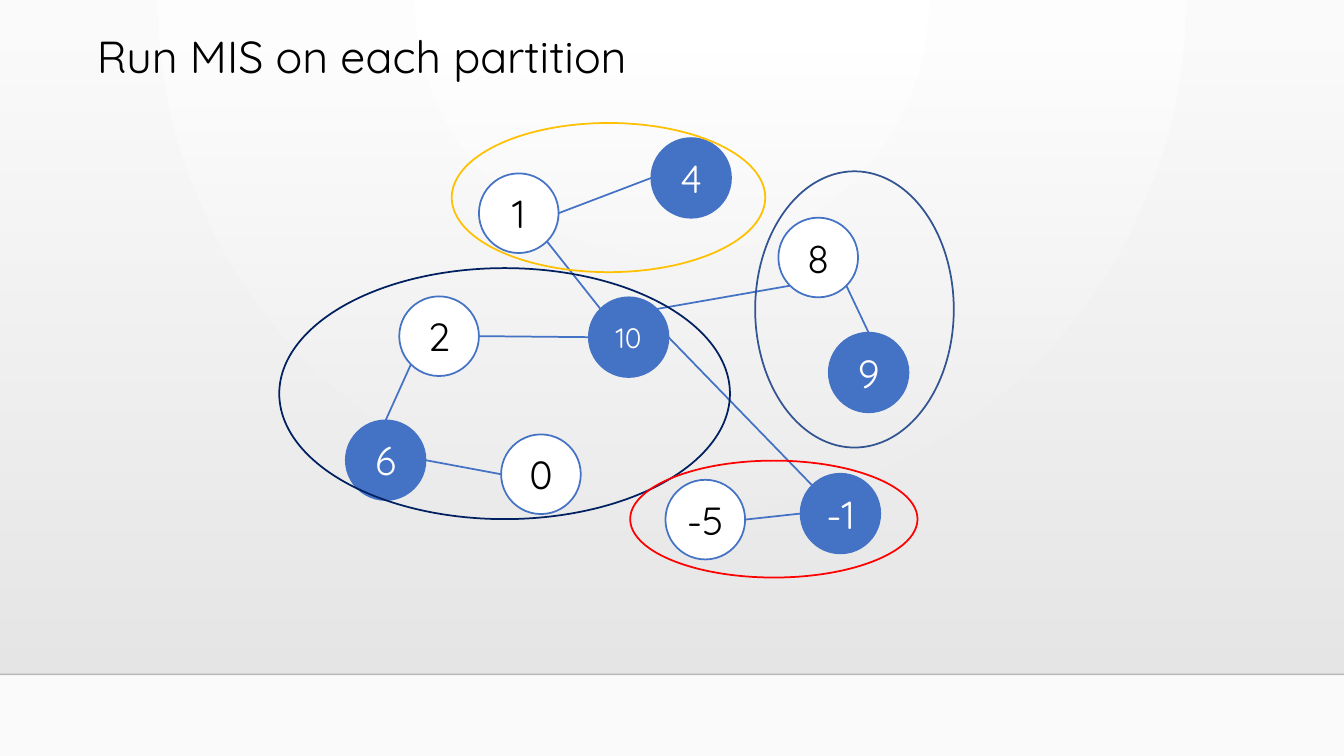
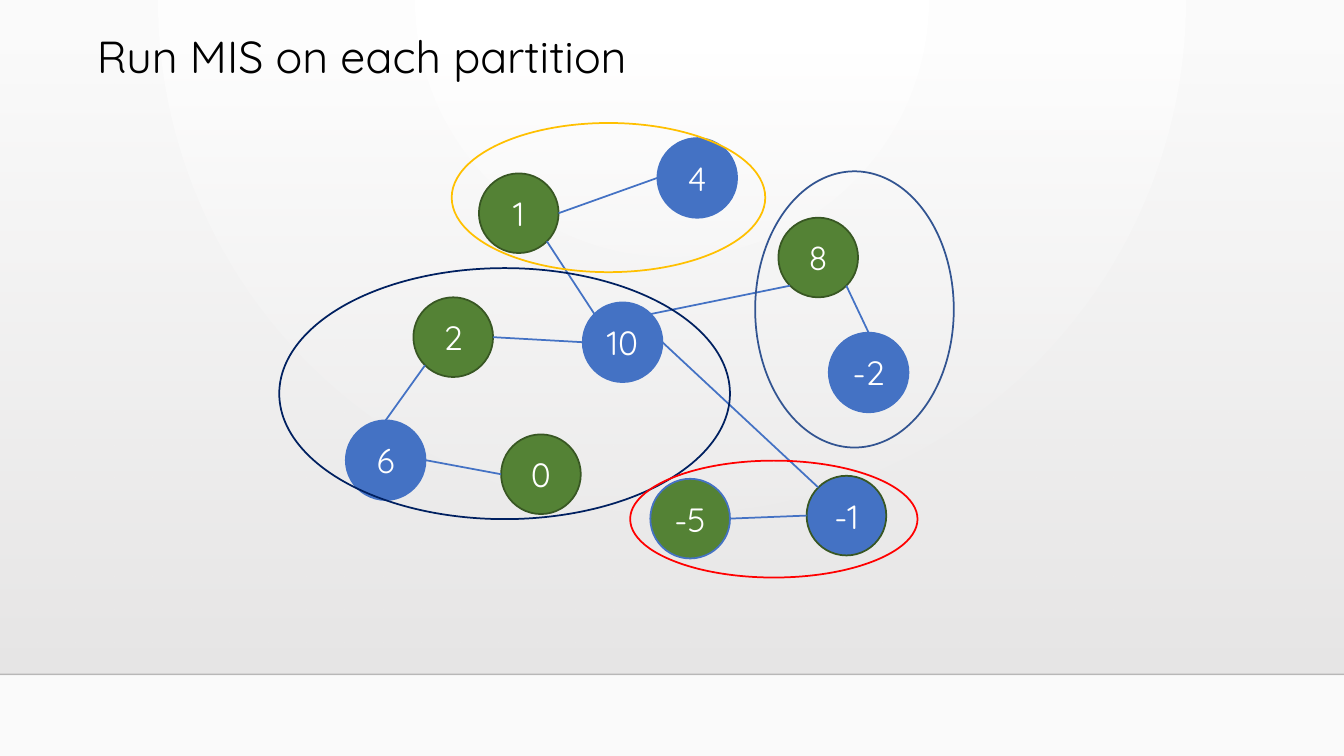
from dataclasses import dataclass
from math import cos, radians, sin

from lxml import etree
from pptx import Presentation
from pptx.dml.color import RGBColor
from pptx.enum.shapes import MSO_CONNECTOR, MSO_SHAPE
from pptx.enum.text import MSO_ANCHOR, MSO_AUTO_SIZE, PP_ALIGN
from pptx.oxml.ns import qn
from pptx.util import Inches, Pt

OVAL, RECTANGLE = MSO_SHAPE.OVAL, MSO_SHAPE.RECTANGLE
STRAIGHT = MSO_CONNECTOR.STRAIGHT
LEFT, CENTER = PP_ALIGN.LEFT, PP_ALIGN.CENTER
TOP, MIDDLE = MSO_ANCHOR.TOP, MSO_ANCHOR.MIDDLE
NO_AUTOFIT = MSO_AUTO_SIZE.NONE

WHITE = RGBColor(0xFF, 0xFF, 0xFF)
BLACK = RGBColor(0x00, 0x00, 0x00)
RULE_BLACK = RGBColor(0x00, 0x00, 0x01)
PAPER = RGBColor(0xFA, 0xFA, 0xFA)
BAND_TOP = RGBColor(0xE7, 0xE6, 0xE6)
BAND_BOTTOM = RGBColor(0xE8, 0xE7, 0xE7)
BLUE = RGBColor(0x44, 0x72, 0xC4)
GREEN = RGBColor(0x54, 0x82, 0x35)
DARK_GREEN = RGBColor(0x38, 0x57, 0x23)
GOLD = RGBColor(0xFF, 0xC0, 0x00)
NAVY = RGBColor(0x00, 0x20, 0x60)
RED = RGBColor(0xFF, 0x00, 0x00)
STEEL = RGBColor(0x32, 0x54, 0x91)

FONT = "Quicksand"
TITLE = "Run MIS on each partition"
SLIDE_WIDTH, SLIDE_HEIGHT = 13.33, 7.5
BAND_Y, RULE_Y = 0.51, 6.69
DIAMETER = 0.79
LINE_WIDTH = 1.25

# Points on a node's rim, in degrees clockwise from the right
EAST, SOUTHEAST, SOUTHWEST, WEST = 0, 45, 135, 180
NORTHWEST, NORTH, NORTHEAST = 225, 270, 315


@dataclass(frozen=True)
class Node:
    label: str
    left: float
    top: float
    fill: RGBColor
    outline: RGBColor = BLUE
    ink: RGBColor = WHITE
    size: int = 24

    def rim(self, angle: int) -> tuple[float, float]:
        radius = DIAMETER / 2
        return (self.left + radius * (1 + cos(radians(angle))),
                self.top + radius * (1 + sin(radians(angle))))


@dataclass(frozen=True)
class Edge:
    source: str
    source_angle: int
    target: str
    target_angle: int


@dataclass(frozen=True)
class Partition:
    left: float
    top: float
    width: float
    height: float
    outline: RGBColor


def chosen(label: str, left: float, top: float, size: int = 28) -> Node:
    return Node(label, left, top, BLUE, size=size)


def unchosen(label: str, left: float, top: float) -> Node:
    return Node(label, left, top, WHITE, ink=BLACK, size=28)


def removed(label: str, left: float, top: float, outline: RGBColor = DARK_GREEN) -> Node:
    return Node(label, left, top, GREEN, outline)


# Content
PARTITIONS = [
    Partition(4.48, 1.22, 3.11, 1.48, GOLD),
    Partition(2.77, 2.66, 4.47, 2.49, NAVY),
    Partition(6.25, 4.57, 2.85, 1.16, RED),
    Partition(7.49, 1.7, 1.97, 2.74, STEEL),
]
SHARED_EDGES = [
    Edge("1", SOUTHEAST, "10", NORTHWEST),
    Edge("2", EAST, "10", WEST),
    Edge("6", NORTH, "2", SOUTHWEST),
    Edge("6", EAST, "0", WEST),
    Edge("1", EAST, "4", WEST),
    Edge("10", EAST, "-1", NORTHWEST),
    Edge("8", SOUTHWEST, "10", NORTHEAST),
    Edge("-5", EAST, "-1", WEST),
]
FIRST_RUN = [
    unchosen("2", 3.96, 2.94), unchosen("1", 4.75, 1.72),
    chosen("10", 5.84, 2.95, size=20), unchosen("0", 4.97, 4.31),
    chosen("9", 8.22, 3.3), unchosen("8", 7.72, 2.16),
    chosen("-1", 7.94, 4.7), chosen("4", 6.46, 1.37),
    chosen("6", 3.43, 4.17), unchosen("-5", 6.6, 4.76),
]
SECOND_RUN = [
    removed("2", 4.1, 2.95), removed("1", 4.75, 1.72),
    chosen("10", 5.78, 3, size=24), removed("0", 4.97, 4.31),
    chosen("-2", 8.22, 3.3, size=24), removed("8", 7.72, 2.16),
    Node("-1", 8, 4.72, BLUE, DARK_GREEN), chosen("4", 6.52, 1.37, size=24),
    chosen("6", 3.43, 4.17, size=24), removed("-5", 6.45, 4.75, outline=BLUE),
]


# Drawing helpers
def write(frame, text: str, *, size: int, color: RGBColor, align=CENTER,
          anchor=MIDDLE, spacing: float = 1.0, inset: tuple[float, float] = (0.07, 0.04)) -> None:
    frame.auto_size = NO_AUTOFIT
    frame.word_wrap = True
    frame.vertical_anchor = anchor
    frame.margin_left = frame.margin_right = Inches(inset[0])
    frame.margin_top = frame.margin_bottom = Inches(inset[1])
    paragraph = frame.paragraphs[0]
    paragraph.alignment = align
    paragraph.line_spacing = spacing
    run = paragraph.add_run()
    run.text = text
    run.font.name, run.font.size = FONT, Pt(size)
    run.font.color.rgb = color


def add_oval(slide, left: float, top: float, width: float, height: float,
             outline: RGBColor, fill: RGBColor | None = None):
    oval = slide.shapes.add_shape(OVAL, Inches(left), Inches(top), Inches(width), Inches(height))
    oval.shadow.inherit = False
    if fill is None:
        oval.fill.background()
    else:
        oval.fill.solid()
        oval.fill.fore_color.rgb = fill
    oval.line.color.rgb = outline
    oval.line.width = Pt(LINE_WIDTH)
    return oval


def add_line(slide, start: tuple[float, float], end: tuple[float, float],
             color: RGBColor, width: float):
    line = slide.shapes.add_connector(STRAIGHT, *map(Inches, start + end))
    line.line.color.rgb = color
    line.line.width = Pt(width)
    etree.SubElement(line.element.spPr, qn("a:effectLst"))
    return line


def set_gradient(fill, first: RGBColor, last: RGBColor) -> None:
    fill.gradient()
    for stop, color in zip(fill.gradient_stops, (first, last)):
        stop.color.rgb = color


def set_opacity(element, percent: int) -> None:
    color = next(element.iter(qn("a:srgbClr")))
    etree.SubElement(color, qn("a:alpha"), val=str(percent * 1000))


# Shared look, kept on the master and the title layout
def style_master(master, scratch_slide) -> None:
    set_gradient(master.background.fill, WHITE, PAPER)
    gradient = next(master.element.iter(qn("a:gradFill")))
    gradient.remove(gradient.find(qn("a:lin")))
    glow = etree.SubElement(gradient, qn("a:path"))
    glow.set("path", "circle")
    etree.SubElement(glow, qn("a:fillToRect"), l="43000", t="0", r="43000", b="100000")

    band = scratch_slide.shapes.add_shape(
        RECTANGLE, 0, Inches(BAND_Y), Inches(SLIDE_WIDTH), Inches(RULE_Y - BAND_Y))
    band.shadow.inherit = False
    band.line.fill.background()
    set_gradient(band.fill, BAND_TOP, BAND_BOTTOM)
    band.fill.gradient_angle = 270
    set_opacity(band.element.spPr, 0)

    rule = add_line(scratch_slide, (0, RULE_Y), (SLIDE_WIDTH, RULE_Y), RULE_BLACK, 1)
    set_opacity(rule.element.spPr, 20)

    front = master.shapes[0].element
    for backdrop in (band, rule):
        front.addprevious(backdrop.element)


def place_title(layout) -> None:
    title = layout.placeholders[0]
    title.left, title.top = Inches(0.86), Inches(0.29)
    title.width, title.height = Inches(10.5), Inches(1.15)


def draw_graph(slide, nodes: list[Node], edges: list[Edge]) -> None:
    write(slide.shapes.title.text_frame, TITLE, size=32, color=BLACK,
          align=LEFT, anchor=TOP, spacing=0.9, inset=(0.1, 0.05))
    for node in nodes:
        circle = add_oval(slide, node.left, node.top, DIAMETER, DIAMETER, node.outline, node.fill)
        write(circle.text_frame, node.label, size=node.size, color=node.ink)
    by_label = {node.label: node for node in nodes}
    for edge in edges:
        add_line(slide, by_label[edge.source].rim(edge.source_angle),
                 by_label[edge.target].rim(edge.target_angle), BLUE, LINE_WIDTH)
    for part in PARTITIONS:
        add_oval(slide, part.left, part.top, part.width, part.height, part.outline)


# Build the deck
deck = Presentation()
deck.slide_width, deck.slide_height = Inches(SLIDE_WIDTH), Inches(SLIDE_HEIGHT)
title_only = deck.slide_layouts[5]
place_title(title_only)
first_slide, second_slide = (deck.slides.add_slide(title_only) for _ in range(2))
style_master(deck.slide_master, first_slide)
draw_graph(first_slide, FIRST_RUN, SHARED_EDGES + [Edge("8", SOUTHEAST, "9", NORTH)])
draw_graph(second_slide, SECOND_RUN, SHARED_EDGES + [Edge("8", SOUTHEAST, "-2", NORTH)])
deck.save("out.pptx")
